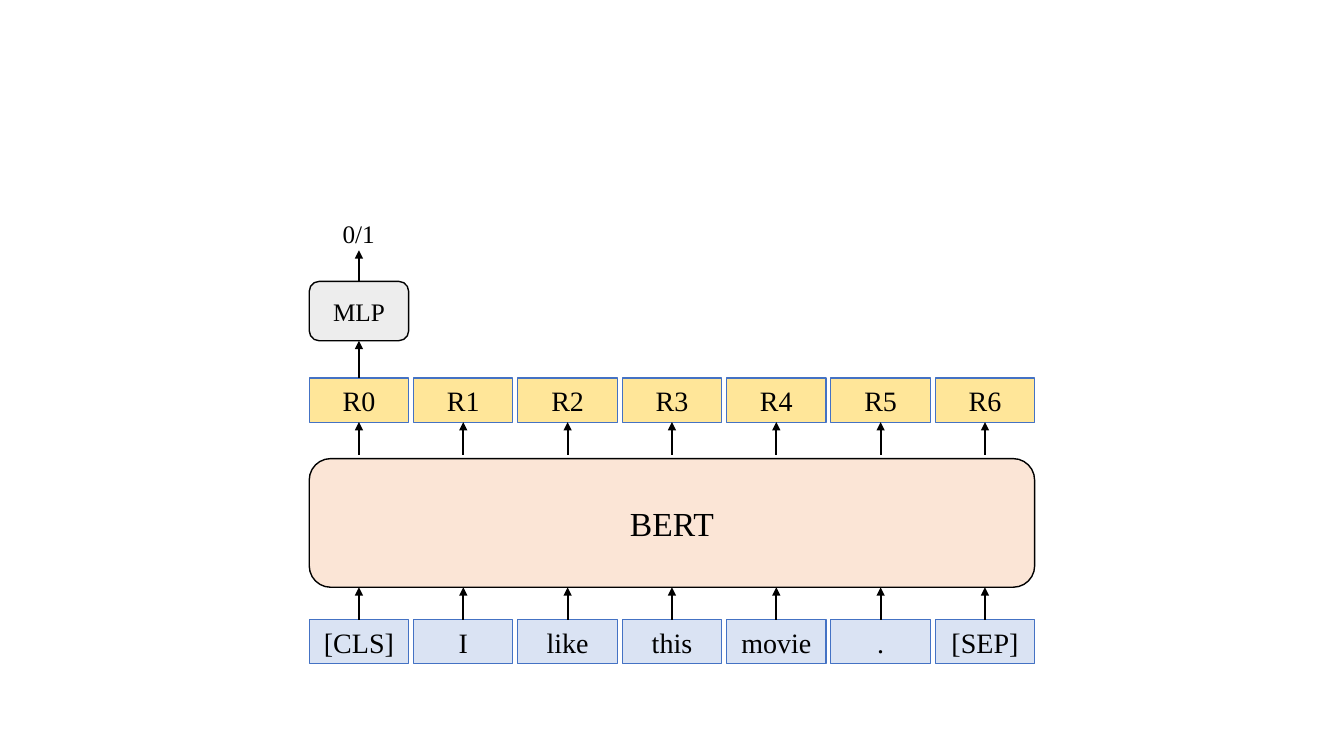
from lxml.etree import SubElement
from pptx import Presentation
from pptx.dml.color import RGBColor
from pptx.enum.shapes import MSO_CONNECTOR, MSO_SHAPE
from pptx.enum.text import MSO_ANCHOR as Anchor, PP_ALIGN as Align
from pptx.oxml.ns import qn
from pptx.util import Pt

COLORS = {
    "ink": "000000",
    "token": "DAE3F3",
    "token_edge": "4472C4",
    "output": "FFE699",
    "encoder": "FBE5D6",
    "classifier": "EDEDED",
}


class Diagram:
    """Draws the styled boxes, arrows and labels of one slide."""

    font = "Times New Roman"

    def __init__(self, slide):
        self.slide = slide

    def color(self, name):
        return RGBColor.from_string(COLORS[name])

    def set_text(self, shape, text, size, align):
        frame = shape.text_frame
        frame.text = text
        paragraph = frame.paragraphs[0]
        paragraph.alignment = align
        for run in paragraph.runs:
            run.font.name = self.font
            run.font.size = Pt(size)
            run.font.color.rgb = self.color("ink")

    def box(self, left, top, width, height, text, size, fill,
            kind=MSO_SHAPE.ROUNDED_RECTANGLE, edge="ink", weight=1):
        shape = self.slide.shapes.add_shape(
            kind, Pt(left), Pt(top), Pt(width), Pt(height))
        shape.shadow.inherit = False
        shape.fill.solid()
        shape.fill.fore_color.rgb = self.color(fill)
        shape.line.color.rgb = self.color(edge)
        shape.line.width = Pt(weight)
        shape.text_frame.vertical_anchor = Anchor.MIDDLE
        self.set_text(shape, text, size, Align.CENTER)

    def cell(self, left, top, width, height, text, fill):
        self.box(left, top, width, height, text, 20, fill,
                 MSO_SHAPE.RECTANGLE, "token_edge", 0.75)

    def arrow_up(self, x, bottom, top):
        connector = self.slide.shapes.add_connector(
            MSO_CONNECTOR.STRAIGHT, Pt(x), Pt(bottom), Pt(x), Pt(top))
        connector.line.color.rgb = self.color("ink")
        connector.line.width = Pt(1.5)
        properties = connector.element.spPr
        SubElement(properties.find(qn("a:ln")), qn("a:tailEnd"), type="triangle")
        SubElement(properties, qn("a:effectLst"))

    def label(self, left, top, width, height, text, size):
        shape = self.slide.shapes.add_textbox(
            Pt(left), Pt(top), Pt(width), Pt(height))
        self.set_text(shape, text, size, Align.LEFT)


def main():
    presentation = Presentation()
    presentation.slide_width = Pt(960)
    presentation.slide_height = Pt(540)
    slide = presentation.slides.add_slide(presentation.slide_layouts[6])
    diagram = Diagram(slide)

    tokens = ["[CLS]", "I", "like", "this", "movie", ".", "[SEP]"]
    left, pitch = 220.9, 74.53
    cell_width, cell_height = 71, 31.5
    token_top, output_top = 442.8, 270
    encoder_top, encoder_height = 327.6, 91.9
    classifier_top, classifier_height = 201, 42.4
    encoder_width = pitch * (len(tokens) - 1) + cell_width
    first_center = left + cell_width / 2

    diagram.box(left, encoder_top, encoder_width, encoder_height,
                "BERT", 24, "encoder")
    for index, token in enumerate(tokens):
        x = left + index * pitch
        center = x + cell_width / 2
        diagram.cell(x, token_top, cell_width, cell_height, token, "token")
        diagram.arrow_up(center, token_top, encoder_top + encoder_height)
        diagram.cell(x, output_top, cell_width, cell_height, f"R{index}", "output")
        diagram.arrow_up(center, 325, output_top + cell_height)

    diagram.box(left, classifier_top, cell_width, classifier_height,
                "MLP", 18, "classifier")
    diagram.arrow_up(first_center, output_top, classifier_top + classifier_height)
    diagram.arrow_up(first_center, classifier_top, 178.8)
    diagram.label(237.6, 152.7, 44.6, 29, "0/1", 18)

    presentation.save("out.pptx")


if __name__ == "__main__":
    main()
